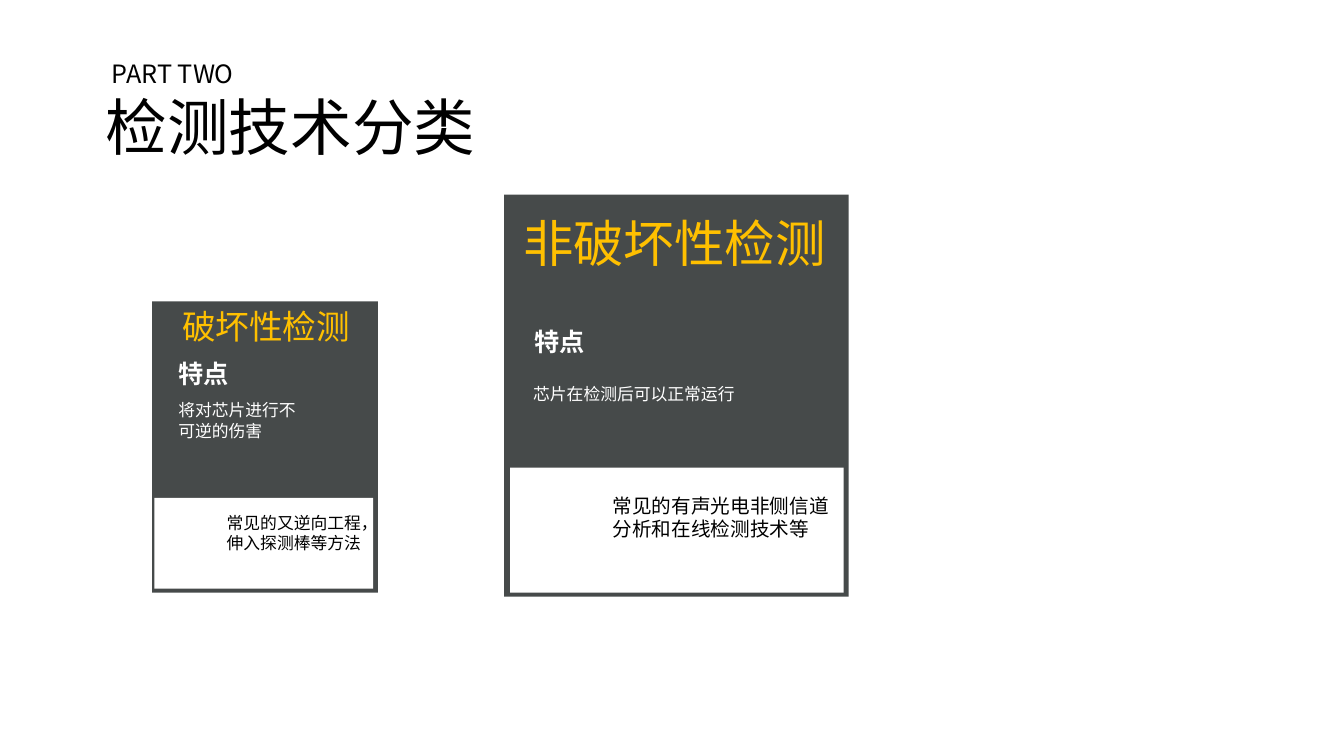
from dataclasses import dataclass
from typing import NamedTuple

from pptx import Presentation
from pptx.dml.color import RGBColor
from pptx.enum.shapes import MSO_SHAPE
from pptx.enum.text import MSO_AUTO_SIZE, PP_ALIGN
from pptx.oxml.ns import qn
from pptx.slide import Slide
from pptx.util import Emu, Inches, Pt

SLIDE_WIDTH, SLIDE_HEIGHT = Inches(13.33), Inches(7.5)
FONT = "Noto Sans CJK SC"
BLACK = RGBColor(0x00, 0x00, 0x00)
WHITE = RGBColor(0xFF, 0xFF, 0xFF)
SLATE = RGBColor(0x46, 0x4A, 0x4A)
AMBER = RGBColor(0xFF, 0xC0, 0x00)


class Area(NamedTuple):
    """Left, top, width and height in percent of the slide."""
    left: float
    top: float
    width: float
    height: float

    def lengths(self) -> list[Emu]:
        sides = (SLIDE_WIDTH, SLIDE_HEIGHT) * 2
        return [Emu(round(side * share / 100)) for side, share in zip(sides, self)]


@dataclass(frozen=True)
class Line:
    text: str
    size: float
    color: RGBColor
    bold: bool = False
    align: PP_ALIGN = PP_ALIGN.LEFT
    indent: float = 0  # inches


@dataclass(frozen=True)
class Card:
    frame: Area
    panel: Area
    texts: list[tuple[Area, Line]]


HEADING_AREA = Area(6.3, 7.07, 30.46, 15.2)
HEADING = [
    Line("PART TWO", 18, BLACK, indent=0.17),
    Line("检测技术分类", 44, BLACK, indent=0.11),
]
CARDS = [
    Card(
        frame=Area(37.5, 25.73, 25.65, 53.2),
        panel=Area(37.95, 61.87, 24.83, 16.53),
        texts=[
            (Area(38.18, 27.47, 24.23, 9.47), Line("非破坏性检测", 36, AMBER)),
            (Area(39, 42.53, 5.33, 5.33), Line("特点", 18, WHITE, bold=True)),
            (Area(38.93, 50.13, 17.25, 4), Line("芯片在检测后可以正常运行", 12, WHITE)),
            (Area(44.85, 64.67, 18.23, 7.6),
             Line("常见的有声光电非侧信道分析和在线检测技术等", 14, BLACK)),
        ],
    ),
    Card(
        frame=Area(11.33, 39.87, 16.8, 38.53),
        panel=Area(11.48, 65.87, 16.28, 12),
        texts=[
            (Area(11.48, 39.87, 16.65, 6.67),
             Line("破坏性检测", 24, AMBER, align=PP_ALIGN.CENTER)),
            (Area(12.53, 46.67, 7.13, 5.33), Line("特点", 18, WHITE, bold=True)),
            (Area(12.53, 52.27, 11.33, 6.67), Line("将对芯片进行不可逆的伤害", 12, WHITE)),
            (Area(16.13, 67.2, 11.93, 6.67),
             Line("常见的又逆向工程，伸入探测棒等方法", 12, BLACK)),
        ],
    ),
]


def add_block(page: Slide, area: Area, color: RGBColor) -> None:
    block = page.shapes.add_shape(MSO_SHAPE.RECTANGLE, *area.lengths())
    block.shadow.inherit = False
    block.fill.solid()
    block.fill.fore_color.rgb = color
    block.line.fill.background()


def add_text(page: Slide, area: Area, lines: list[Line]) -> None:
    frame = page.shapes.add_textbox(*area.lengths()).text_frame
    frame.word_wrap = True
    frame.auto_size = MSO_AUTO_SIZE.SHAPE_TO_FIT_TEXT
    for index, line in enumerate(lines):
        para = frame.add_paragraph() if index else frame.paragraphs[0]
        para.alignment = line.align
        if line.indent:
            para._p.get_or_add_pPr().set("marL", str(Inches(line.indent)))
        span = para.add_run()
        span.text = line.text
        formats = {"name": FONT, "size": Pt(line.size), "bold": line.bold}
        for name, value in formats.items():
            setattr(span.font, name, value)
        span.font.color.rgb = line.color
        east_asian = span._r.get_or_add_rPr().makeelement(qn("a:ea"), {"typeface": FONT})
        span._r.rPr.find(qn("a:latin")).addnext(east_asian)


def add_card(page: Slide, card: Card) -> None:
    add_block(page, card.frame, SLATE)
    add_block(page, card.panel, WHITE)
    for area, line in card.texts:
        add_text(page, area, [line])


def main() -> None:
    deck = Presentation()
    deck.slide_width, deck.slide_height = SLIDE_WIDTH, SLIDE_HEIGHT
    page = deck.slides.add_slide(deck.slide_layouts[6])
    add_text(page, HEADING_AREA, HEADING)
    for card in CARDS:
        add_card(page, card)
    deck.save("out.pptx")


if __name__ == "__main__":
    main()
